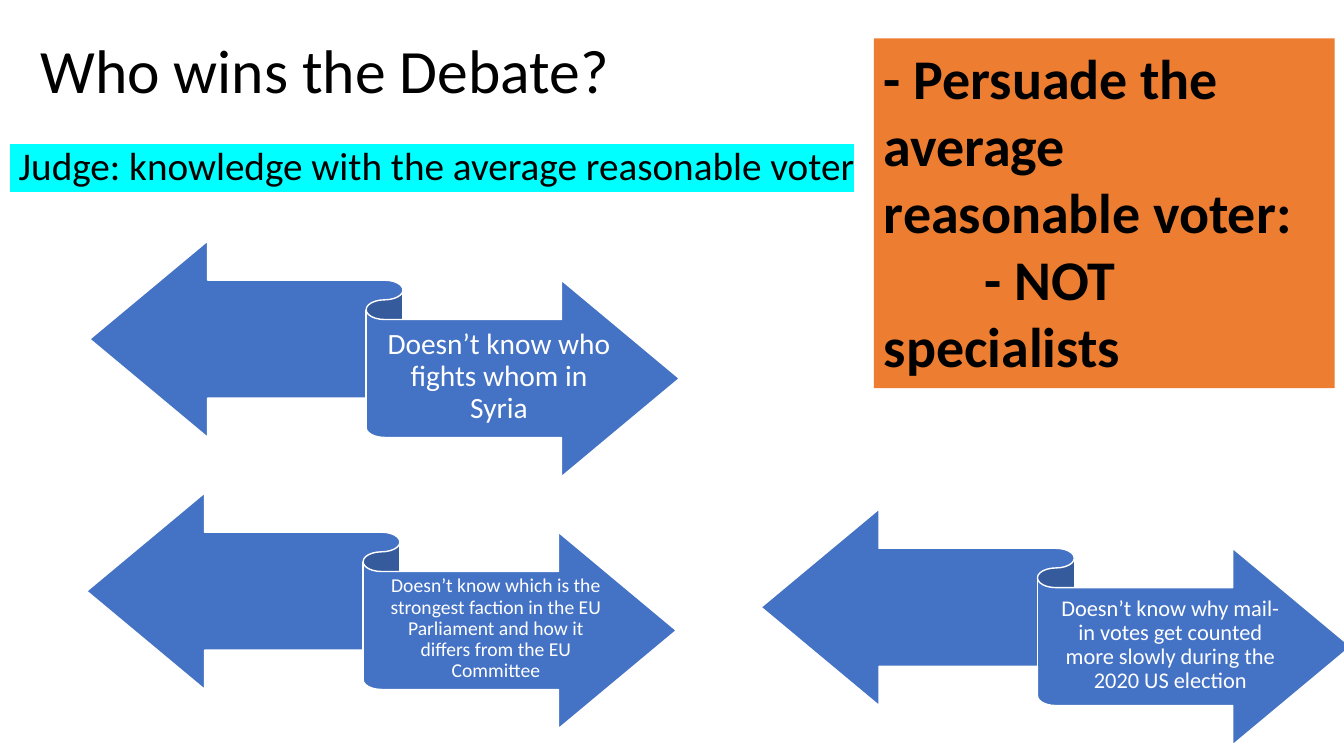
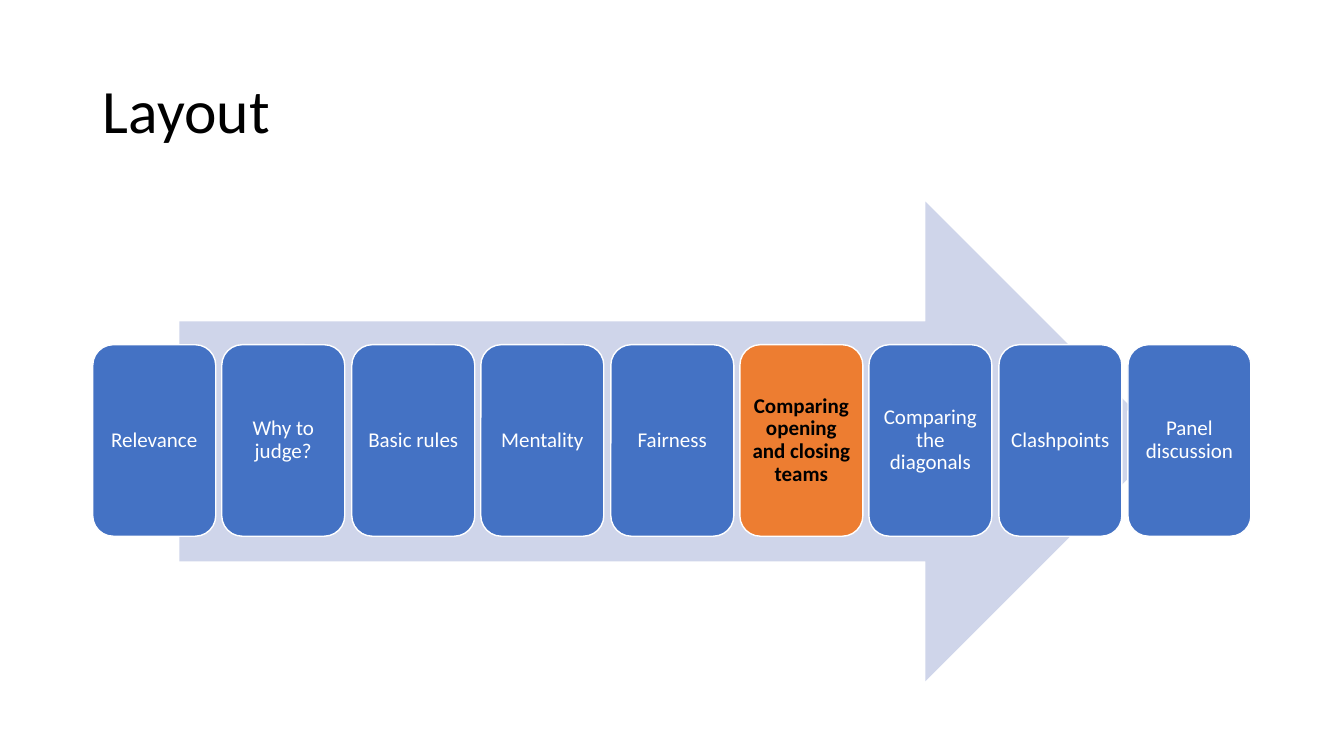
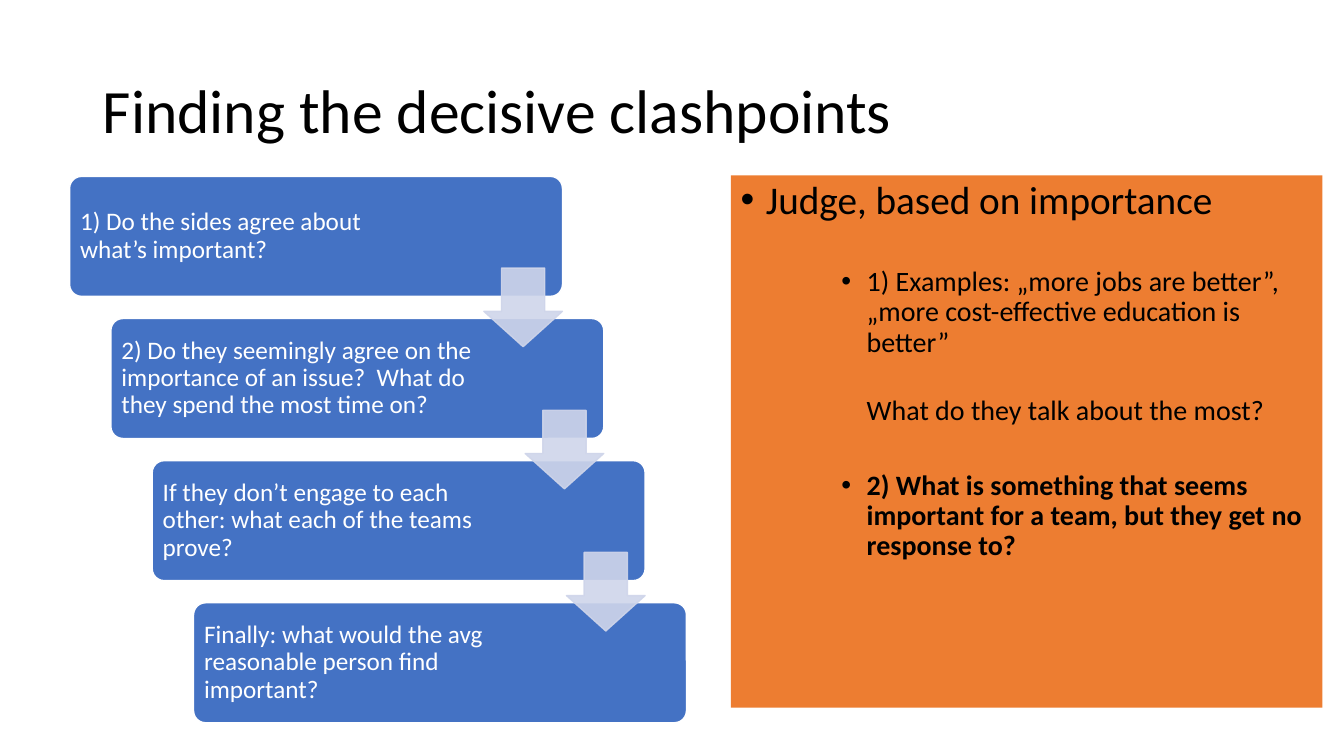
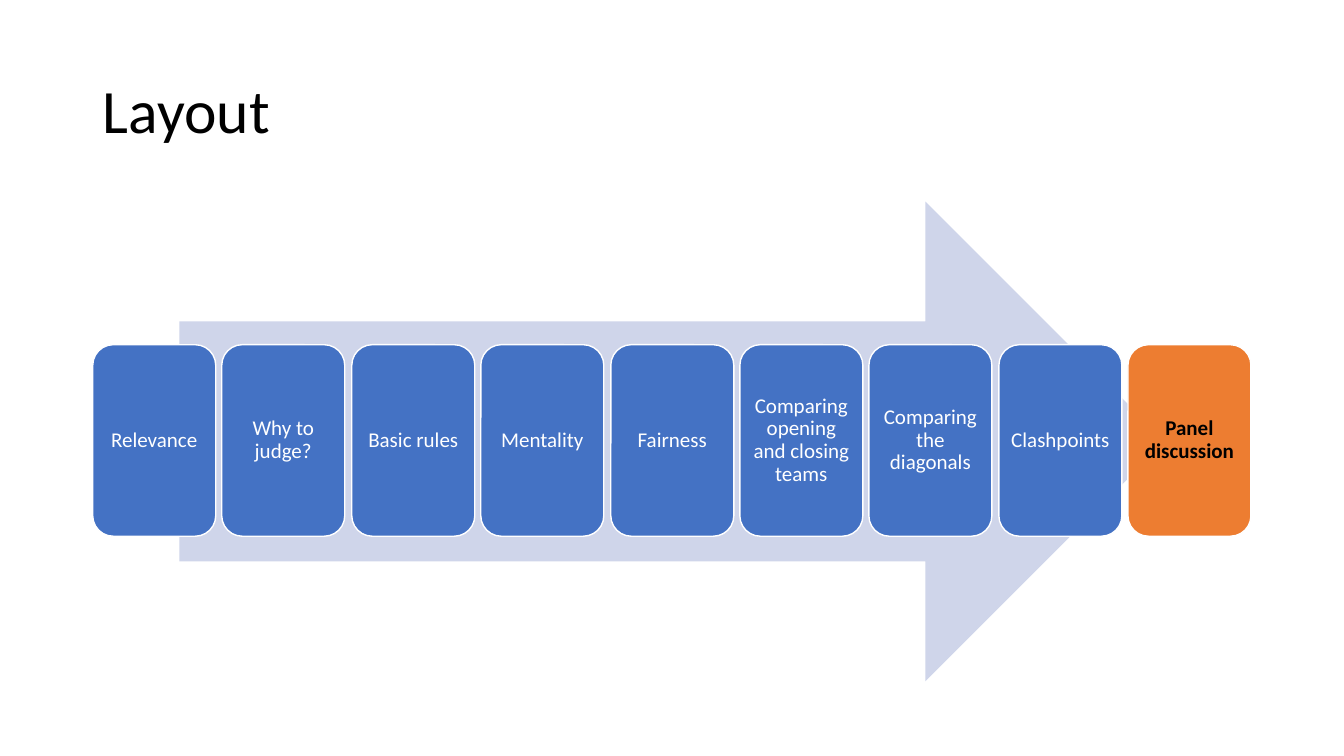
from dataclasses import dataclass

from lxml.etree import SubElement
from pptx import Presentation
from pptx.dml.color import RGBColor
from pptx.enum.shapes import MSO_SHAPE
from pptx.enum.text import MSO_ANCHOR, PP_ALIGN
from pptx.oxml.ns import qn
from pptx.presentation import Presentation as Deck
from pptx.shapes.autoshape import Shape
from pptx.slide import Slide
from pptx.util import Pt

# Shared style: 100 px to the inch
EMU_PER_PX = 9144
FONT = "Calibri"
BLACK, WHITE = "000000", "FFFFFF"
BLUE, ORANGE, PALE, CYAN = "4472C4", "ED7D31", "CFD5EA", "00FFFF"
TITLE_ONLY = 5

TOPICS = [
    "Relevance", "Why to judge?", "Basic rules", "Mentality", "Fairness",
    "Comparing opening and closing teams", "Comparing the diagonals",
    "Clashpoints", "Panel discussion",
]


@dataclass(frozen=True)
class Box:
    left: int
    top: int
    width: int
    height: int


@dataclass(frozen=True)
class Line:
    """One paragraph; indents are in px, spacing and size in points."""
    text: str
    size: int
    color: str = BLACK
    bold: bool = False
    align: PP_ALIGN = PP_ALIGN.LEFT
    spacing: float = 0.9
    before: int = 0
    margin: int = 0
    indent: int = 0
    bullet: bool = False
    highlight: str = ""


@dataclass(frozen=True)
class Ribbon:
    left: int
    top: int
    size: int
    text: str


@dataclass(frozen=True)
class Step:
    text: str
    text_width: int


RIBBONS = [
    Ribbon(89, 239, 21, "Doesn’t know who fights whom in Syria"),
    Ribbon(86, 489, 14, "Doesn’t know which is the strongest faction in the EU "
                        "Parliament and how it differs from the EU Committee"),
    Ribbon(755, 505, 16, "Doesn’t know why mail-in votes get counted more slowly "
                         "during the 2020 US election"),
]

STEPS = [
    Step("1) Do the sides agree about what’s important?", 350),
    Step("2) Do they seemingly agree on the importance of an issue?  "
         "What do they spend the most time on?", 363),
    Step("If they don’t engage to each other: what each of the teams prove?", 363),
    Step("Finally: what would the avg reasonable person find important?", 363),
]

IMPORTANCE = [
    Line("Judge, based on importance", 28, margin=25, indent=-25, bullet=True),
    Line("1) Examples: „more jobs are better”, „more cost-effective education is better”",
         20, before=32, margin=125, indent=-25, bullet=True),
    Line("What do they talk about the most?", 20, before=27, margin=125),
    Line("2) What is something that seems important for a team, but they get no "
         "response to?", 20, bold=True, before=32, margin=125, indent=-25, bullet=True),
]


# Helpers
def px(value: float) -> int:
    return round(value * EMU_PER_PX)


def rgb(value: str) -> RGBColor:
    return RGBColor.from_string(value)


def place(shape: Shape, box: Box) -> None:
    shape.left, shape.top = px(box.left), px(box.top)
    shape.width, shape.height = px(box.width), px(box.height)


def write(shape: Shape, lines: list[Line], anchor: MSO_ANCHOR = MSO_ANCHOR.MIDDLE,
          insets: tuple[int, int, int, int] = (10, 5, 10, 5)) -> None:
    """Fill a shape with paragraphs; insets are left, top, right, bottom."""
    frame = shape.text_frame
    frame.word_wrap = True
    frame.vertical_anchor = anchor
    frame.margin_left, frame.margin_top, frame.margin_right, frame.margin_bottom = map(px, insets)
    for index, line in enumerate(lines):
        paragraph = frame.add_paragraph() if index else frame.paragraphs[0]
        paragraph.text = line.text
        properties = paragraph._p.get_or_add_pPr()
        properties.set("marL", str(px(line.margin)))
        properties.set("indent", str(px(line.indent)))
        if line.bullet:
            SubElement(properties, qn("a:buFont"), typeface="Arial")
            SubElement(properties, qn("a:buChar"), char="•")
        paragraph.alignment = line.align
        paragraph.line_spacing = line.spacing
        paragraph.space_before = Pt(line.before)
        for run in paragraph.runs:
            run.font.size = Pt(line.size)
            run.font.bold = line.bold
            run.font.color.rgb = rgb(line.color)
            if line.highlight:
                highlight = SubElement(run._r.get_or_add_rPr(), qn("a:highlight"))
                SubElement(highlight, qn("a:srgbClr"), val=line.highlight)
            run.font.name = FONT


def add_shape(slide: Slide, kind: MSO_SHAPE, box: Box, fill: str, outline: str = "") -> Shape:
    shape = slide.shapes.add_shape(kind, 0, 0, 0, 0)
    place(shape, box)
    shape.shadow.inherit = False
    shape.fill.solid()
    shape.fill.fore_color.rgb = rgb(fill)
    if outline:
        shape.line.color.rgb = rgb(outline)
        shape.line.width = Pt(1)
    else:
        shape.line.fill.background()
    return shape


def add_text(slide: Slide, box: Box, lines: list[Line], anchor: MSO_ANCHOR,
             insets: tuple[int, int, int, int] = (10, 5, 10, 5)) -> None:
    text_box = slide.shapes.add_textbox(0, 0, 0, 0)
    place(text_box, box)
    write(text_box, lines, anchor, insets)


def set_opacity(shape: Shape, percent: int) -> None:
    for color in shape._element.spPr.iter(qn("a:srgbClr")):
        SubElement(color, qn("a:alpha"), val=str(percent * 1000))


def add_slide(presentation: Deck, title: str, left: int = 92, top: int = 40) -> Slide:
    slide = presentation.slides.add_slide(presentation.slide_layouts[TITLE_ONLY])
    place(slide.shapes.title, Box(left, top, 1150, 145))
    write(slide.shapes.title, [Line(title, 44)])
    return slide


# Slides
def add_debate_slide(presentation: Deck) -> None:
    slide = add_slide(presentation, "Who wins the Debate?", left=30, top=0)
    judge = Line(" Judge: knowledge with the average reasonable voter", 28, highlight=CYAN)
    add_text(slide, Box(0, 141, 889, 348), [judge], MSO_ANCHOR.TOP)

    audience = add_shape(slide, MSO_SHAPE.RECTANGLE, Box(867, 38, 457, 347), ORANGE)
    write(audience, [
        Line("- Persuade the average reasonable voter:", 40, bold=True, spacing=1.0),
        Line("- NOT specialists", 40, bold=True, spacing=1.0, indent=100),
    ], MSO_ANCHOR.TOP)

    for ribbon in RIBBONS:
        add_shape(slide, MSO_SHAPE.LEFT_RIGHT_RIBBON,
                  Box(ribbon.left, ribbon.top, 585, 234), BLUE, WHITE)
        add_text(slide, Box(ribbon.left + 292, ribbon.top + 78, 228, 115),
                 [Line(ribbon.text, ribbon.size, WHITE, align=PP_ALIGN.CENTER)],
                 MSO_ANCHOR.MIDDLE, (0, 5, 0, 6))


def add_layout_slide(presentation: Deck, current: str) -> None:
    """Show the topics in a row along an arrow, with the current one marked."""
    slide = add_slide(presentation, "Layout")
    add_shape(slide, MSO_SHAPE.RIGHT_ARROW, Box(178, 200, 978, 476), PALE)
    row_left, row_width, card_width = 92, 1149, 122
    pitch = (row_width - card_width) / (len(TOPICS) - 1)
    for index, topic in enumerate(TOPICS):
        marked = topic == current
        card = add_shape(slide, MSO_SHAPE.ROUNDED_RECTANGLE,
                         Box(round(row_left + index * pitch), 342, card_width, 190),
                         ORANGE if marked else BLUE, WHITE)
        write(card, [Line(topic, 15, BLACK if marked else WHITE, marked, PP_ALIGN.CENTER)],
              insets=(6, 6, 6, 6))


def add_clashpoints_slide(presentation: Deck) -> None:
    slide = add_slide(presentation, "Finding the decisive clashpoints")
    panel = add_shape(slide, MSO_SHAPE.RECTANGLE, Box(725, 174, 587, 528), ORANGE)
    write(panel, IMPORTANCE, MSO_ANCHOR.TOP)

    # Staircase of questions
    step_width = 489
    corners = [(69 + 41 * index, 175 + 141 * index) for index in range(len(STEPS))]
    for step, (left, top) in zip(STEPS, corners):
        card = add_shape(slide, MSO_SHAPE.ROUNDED_RECTANGLE,
                         Box(left, top, step_width, 119), BLUE, WHITE)
        card.adjustments[0] = 0.1
        write(card, [Line(step.text, 18, WHITE)],
              insets=(7, 7, step_width - 1 - step.text_width, 7))

    # Arrows from each step to the next
    for left, top in corners[:-1]:
        arrow = add_shape(slide, MSO_SHAPE.DOWN_ARROW, Box(left + 411, top + 91, 78, 78),
                          PALE, PALE)
        arrow.adjustments[0], arrow.adjustments[1] = 0.55, 0.45
        set_opacity(arrow, 90)


def main() -> None:
    presentation = Presentation()
    presentation.slide_width, presentation.slide_height = px(1333.33), px(750)
    add_debate_slide(presentation)
    add_layout_slide(presentation, "Comparing opening and closing teams")
    add_clashpoints_slide(presentation)
    add_layout_slide(presentation, "Panel discussion")
    presentation.save("out.pptx")


if __name__ == "__main__":
    main()
